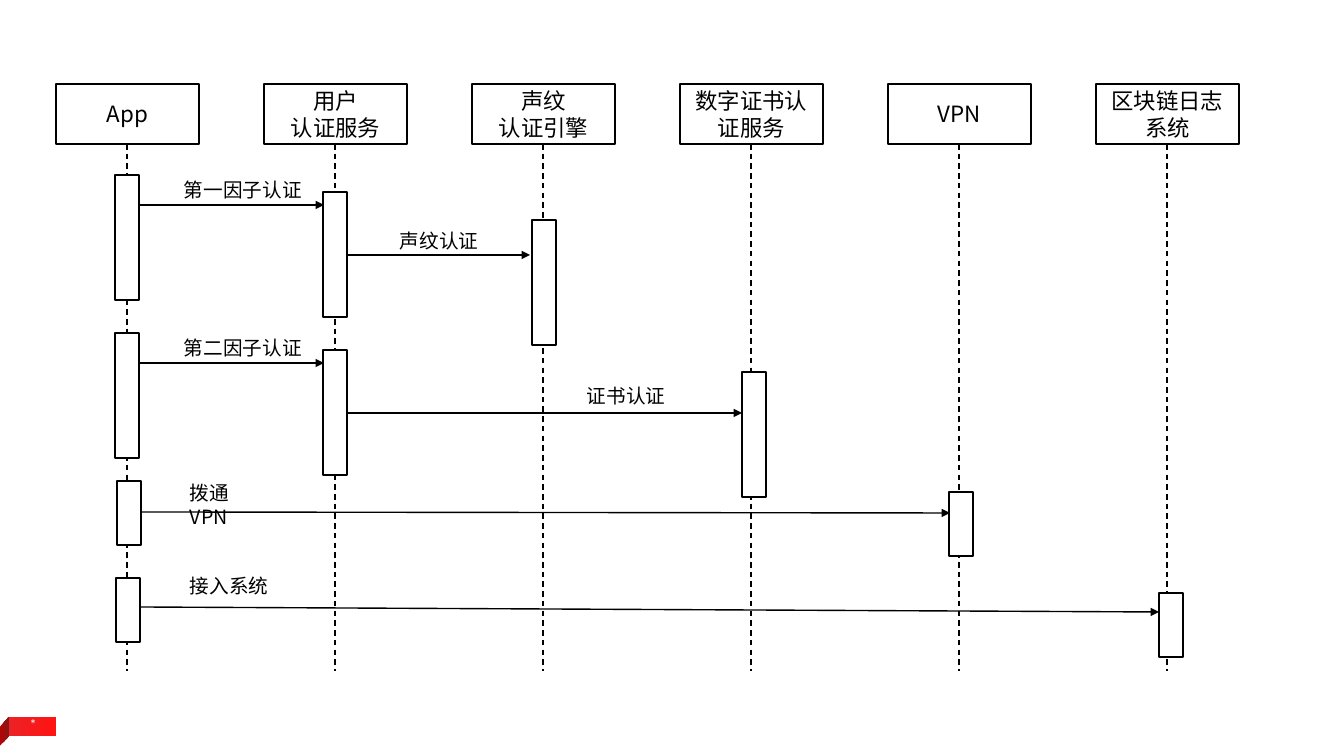
from pptx import Presentation
from pptx.dml.color import RGBColor
from pptx.enum.dml import MSO_LINE
from pptx.enum.shapes import MSO_CONNECTOR, MSO_SHAPE
from pptx.enum.text import MSO_ANCHOR, PP_ALIGN
from pptx.oxml.ns import qn
from pptx.util import Emu, Pt
from lxml.etree import SubElement

BLACK = RGBColor(0x00, 0x00, 0x00)
WHITE = RGBColor(0xFF, 0xFF, 0xFF)
RED = RGBColor(0xEC, 0x22, 0x25)
BRIGHT_RED = RGBColor(0xFF, 0x13, 0x13)
DARK_RED = RGBColor(0xAF, 0x07, 0x07)
MAROON = RGBColor(0x7F, 0x1B, 0x1B)
CHINESE_FONT = "Noto Sans CJK SC"

PARTICIPANTS = ["App", "用户\n认证服务", "声纹\n认证引擎", "数字证书认证服务", "VPN", "区块链日志系统"]
LANE_PITCH = 208
LANE_CENTER = 71
HEADER_WIDTH, HEADER_HEIGHT = 143, 60
BAR_WIDTH, LONG_BAR, SHORT_BAR = 24, 125, 64

# lane, top, height, shift
ACTIVATIONS = [
    (0, 91, LONG_BAR, 0), (1, 108, LONG_BAR, 0), (2, 136, LONG_BAR, 1),
    (0, 249, LONG_BAR, 0), (1, 266, LONG_BAR, 0), (3, 288, LONG_BAR, 3),
    (0, 397, SHORT_BAR, 2), (4, 408, SHORT_BAR, 2),
    (0, 494, SHORT_BAR, 1), (5, 509, SHORT_BAR, 4),
]
# text, start, end, label box, wraps
MESSAGES = [
    ("第一因子认证", (83, 121), (268, 121), (118, 89, 139, 34), False),
    ("声纹认证", (292, 171), (474, 171), (334, 140, 100, 34), False),
    ("第二因子认证", (83, 279), (268, 279), (118, 247, 139, 34), False),
    ("证书认证", (291, 329), (686, 329), (521, 295, 100, 34), False),
    ("拨通VPN", (85, 428), (894, 429), (124, 392, 80, 58), True),
    ("接入系统", (83, 523), (1103, 528), (124, 485, 100, 34), False),
]


def px(value):
    return Emu(round(value * 914400 / 100.8))


def write_text(shape, text, size=16, font=CHINESE_FONT, color=BLACK,
               align=PP_ALIGN.LEFT, anchor=MSO_ANCHOR.TOP, wrap=True):
    frame = shape.text_frame
    frame.word_wrap = wrap
    frame.vertical_anchor = anchor
    frame.text = text
    for paragraph in frame.paragraphs:
        paragraph.alignment = align
        for run in paragraph.runs:
            run.font.size = Pt(size)
            run.font.name = font
            run.font.color.rgb = color
            SubElement(run.font._element, qn("a:ea")).set("typeface", font)


def add_box(slide, left, top, width, height, fill=None):
    shape = slide.shapes.add_shape(MSO_SHAPE.RECTANGLE, px(left), px(top), px(width), px(height))
    shape.shadow.inherit = False
    if fill is None:
        shape.fill.background()
    else:
        shape.fill.solid()
        shape.fill.fore_color.rgb = fill
    shape.line.color.rgb = BLACK
    shape.line.width = Pt(1)
    return shape


def add_label(slide, left, top, width, height, text, **text_format):
    label = slide.shapes.add_textbox(px(left), px(top), px(width), px(height))
    write_text(label, text, **text_format)


def add_line(slide, start, end, dashed=False, arrow=False):
    connector = slide.shapes.add_connector(
        MSO_CONNECTOR.STRAIGHT, *(px(value) for value in (*start, *end)))
    connector.line.color.rgb = BLACK
    connector.line.width = Pt(1)
    if dashed:
        connector.line.dash_style = MSO_LINE.DASH
    if arrow:
        SubElement(connector.line._get_or_add_ln(), qn("a:tailEnd")).set("type", "triangle")
    SubElement(connector._element.spPr, qn("a:effectLst"))


def fill_gradient(shape, first, last, first_position=0):
    shape.shadow.inherit = False
    shape.line.fill.background()
    shape.fill.gradient()
    shape.fill.gradient_angle = 0
    stops = shape.fill.gradient_stops
    for stop, color, position in zip(stops, (first, last), (first_position, 1)):
        stop.color.rgb = color
        stop.position = position


def add_page_ribbon(slide, left, top):
    band = add_box(slide, left + 13, top, 47, 19)
    fill_gradient(band, RED, BRIGHT_RED)
    points = [(13, 0), (0, 14), (0, 33), (13, 19)]
    corners = [(px(left + x), px(top + y)) for x, y in points]
    builder = slide.shapes.build_freeform(*corners[0])
    builder.add_line_segments(corners[1:], close=True)
    fill_gradient(builder.convert_to_shape(), DARK_RED, MAROON, first_position=0.47)
    add_label(slide, left + 20, top - 6, 34, 30, "*", size=10, font="Calibri",
              color=WHITE, align=PP_ALIGN.CENTER, wrap=False)


def add_participants(slide, left, top, height):
    for index, name in enumerate(PARTICIPANTS):
        lane_left = left + index * LANE_PITCH
        header = add_box(slide, lane_left, top, HEADER_WIDTH, HEADER_HEIGHT)
        write_text(header, name, align=PP_ALIGN.CENTER, anchor=MSO_ANCHOR.MIDDLE)
        center = lane_left + LANE_CENTER
        add_line(slide, (center, top + HEADER_HEIGHT), (center, top + height), dashed=True)


def add_messages(slide, left, top):
    for text, start, end, (x, y, width, height), wraps in MESSAGES:
        add_line(slide, (left + start[0], top + start[1]),
                 (left + end[0], top + end[1]), arrow=True)
        add_label(slide, left + x, top + y, width, height, text, size=14, wrap=wraps)


def add_activations(slide, left, top):
    for lane, offset, height, shift in ACTIVATIONS:
        bar_left = left + lane * LANE_PITCH + LANE_CENTER - BAR_WIDTH / 2 + shift
        add_box(slide, bar_left, top + offset, BAR_WIDTH, height, fill=WHITE)


def add_sequence_diagram(slide, left, top, height):
    add_participants(slide, left, top, height)
    add_messages(slide, left, top)
    add_activations(slide, left, top)


presentation = Presentation()
presentation.slide_width = px(1344)
presentation.slide_height = px(756)
slide = presentation.slides.add_slide(presentation.slide_layouts[6])
add_page_ribbon(slide, left=-4, top=717)
add_sequence_diagram(slide, left=56, top=84, height=587)
presentation.save("out.pptx")
